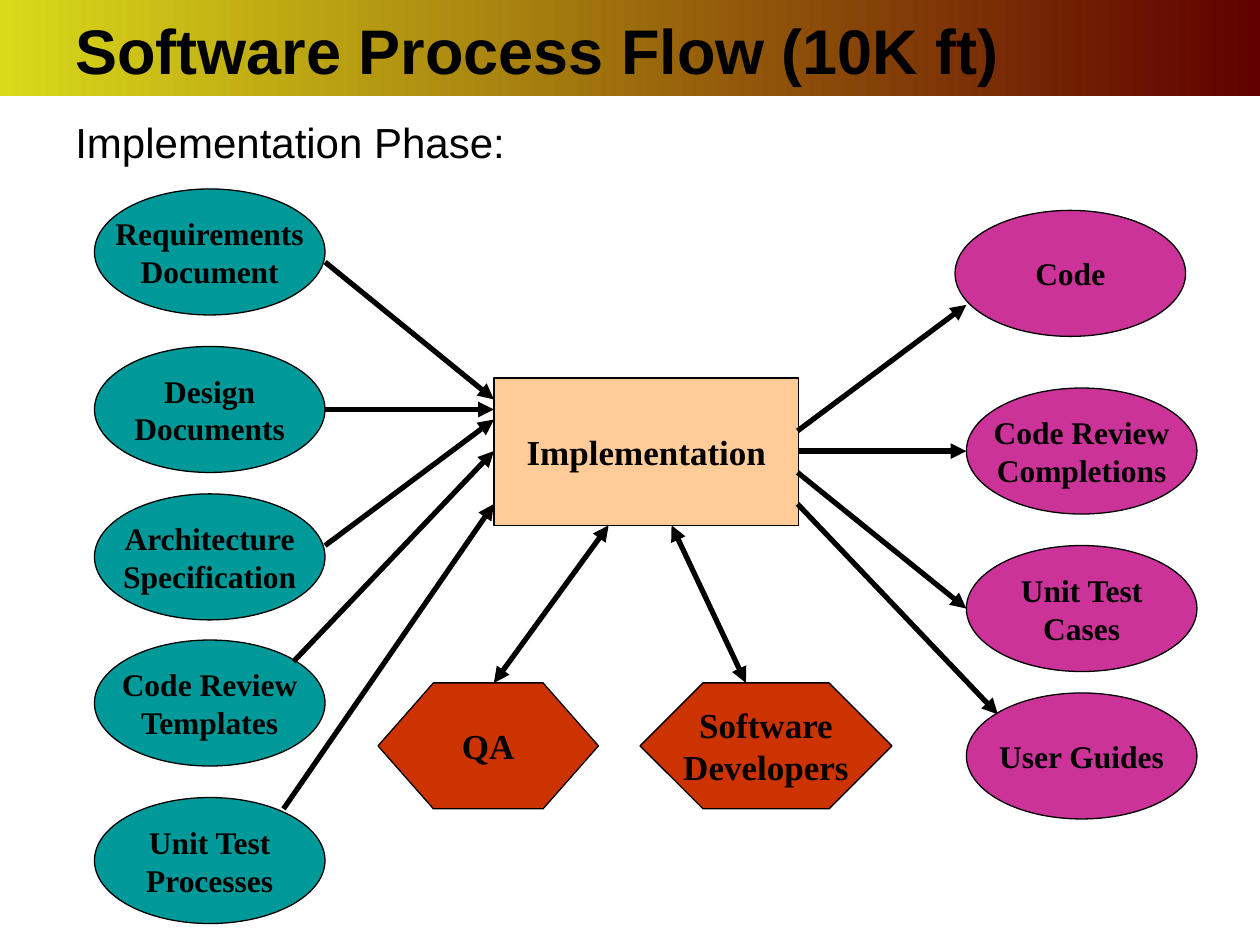
import pptx
import pptx.dml.color
import pptx.enum.dml
import pptx.enum.shapes
import pptx.enum.text
import pptx.oxml
import pptx.oxml.ns
import pptx.util

Inches = pptx.util.Inches
Pt = pptx.util.Pt
RGBColor = pptx.dml.color.RGBColor
Shape = pptx.enum.shapes.MSO_SHAPE
Align = pptx.enum.text.PP_ALIGN
Anchor = pptx.enum.text.MSO_ANCHOR

BLACK = RGBColor(0x00, 0x00, 0x00)
YELLOW = RGBColor(0xD9, 0xD9, 0x19)
MAROON = RGBColor(0x60, 0x00, 0x00)
PEACH = RGBColor(0xFF, 0xCC, 0x99)
TEAL = RGBColor(0x00, 0x99, 0x99)
MAGENTA = RGBColor(0xCC, 0x33, 0x99)
RUST = RGBColor(0xCC, 0x33, 0x00)

TITLE_FONT = {"name": "Arial", "size": Pt(36), "bold": True}
SUBTITLE_FONT = {"name": "Arial", "size": Pt(24), "bold": False}
LARGE_FONT = {"name": "Times New Roman", "size": Pt(20), "bold": True}
NODE_FONT = {"name": "Times New Roman", "size": Pt(18), "bold": True}

NODE_WIDTH, NODE_HEIGHT = 1.83, 1

INPUTS = [
    (0, 0, "Requirements\nDocument"),
    (0, 1.25, "Design\nDocuments"),
    (0, 2.42, "Architecture\nSpecification"),
    (0, 3.58, "Code Review\nTemplates"),
    (0, 4.83, "Unit Test\nProcesses"),
]
INPUT_ARROWS = [
    (1.83, 0.58, 3.17, 1.67),
    (1.83, 1.75, 3.17, 1.75),
    (1.83, 2.83, 3.17, 1.83),
    (1.58, 3.75, 3.17, 2.08),
    (1.5, 4.92, 3.17, 2.5),
]
OUTPUTS = [
    (0, 0, "Code"),
    (0.09, 1.41, "Code Review\nCompletions"),
    (0.09, 2.66, "Unit Test\nCases"),
    (0.09, 3.83, "User Guides"),
]
OUTPUT_ARROWS = [
    (-1.25, 1.75, 0.09, 0.75),
    (-1.25, 1.91, 0.09, 1.91),
    (-1.25, 2.08, 0.09, 3.16),
    (-1.25, 2.33, 0.34, 4),
]
ROLES = [(0, 1.75, 0.44, "QA"), (2.08, 2, 0.5, "Software\nDevelopers")]
ROLE_ARROWS = [(0.92, 0, 1.83, -1.25), (2.92, 0, 2.33, -1.25)]


def apply_format(target, values):
    for name, value in values.items():
        setattr(target, name, value)


def write_text(shape, text, font, frame_format, paragraph_format):
    apply_format(shape.text_frame, frame_format)
    shape.text_frame.text = text
    for paragraph in shape.text_frame.paragraphs:
        apply_format(paragraph, paragraph_format)
        apply_format(paragraph.font, font)
        paragraph.font.color.rgb = BLACK


def add_node(slide, kind, left, top, width, height, text, fill, font):
    shape = slide.shapes.add_shape(
        kind, Inches(left), Inches(top), Inches(width), Inches(height))
    shape.shadow.inherit = False
    shape.fill.solid()
    shape.fill.fore_color.rgb = fill
    shape.line.color.rgb = BLACK
    shape.line.width = Pt(0.75)
    write_text(shape, text, font,
               {"word_wrap": False, "vertical_anchor": Anchor.MIDDLE},
               {"alignment": Align.CENTER})
    return shape


def add_arrows(slide, left, top, arrows, ends=("tailEnd",)):
    for start_x, start_y, end_x, end_y in arrows:
        connector = slide.shapes.add_connector(
            pptx.enum.shapes.MSO_CONNECTOR.STRAIGHT,
            Inches(left + start_x), Inches(top + start_y),
            Inches(left + end_x), Inches(top + end_y))
        connector.line.color.rgb = BLACK
        connector.line.width = Pt(3)
        line = connector.line._get_or_add_ln()
        for end in ends:
            pptx.oxml.ns.qn("a:" + end)
            arrowhead = pptx.oxml.parse_xml(
                f'<a:{end} {pptx.oxml.ns.nsdecls("a")} type="triangle"/>')
            line.append(arrowhead)
        connector._element.spPr.append(pptx.oxml.parse_xml(
            f'<a:effectLst {pptx.oxml.ns.nsdecls("a")}/>'))


def add_header(slide, left, top, width, height):
    band = slide.shapes.add_shape(
        Shape.RECTANGLE, Inches(left), Inches(top), Inches(width), Inches(height))
    band.shadow.inherit = False
    band.line.fill.background()
    band.fill.gradient()
    band.fill.gradient_angle = 0
    for stop, position, color in zip(band.fill.gradient_stops, (0, 1), (YELLOW, MAROON)):
        stop.position = position
        stop.color.rgb = color
    title = slide.shapes.add_textbox(
        Inches(left + 0.5), Inches(top), Inches(width - 1), Inches(height + 0.02))
    write_text(title, "Software Process Flow (10K ft)", TITLE_FONT,
               {"word_wrap": True, "vertical_anchor": Anchor.MIDDLE}, {})


def add_subtitle(slide, left, top, width, height):
    subtitle = slide.shapes.add_textbox(
        Inches(left), Inches(top), Inches(width), Inches(height))
    write_text(subtitle, "Implementation Phase:", SUBTITLE_FONT,
               {"word_wrap": True}, {"line_spacing": 0.9, "space_before": Pt(6)})


def add_documents(slide, left, top, documents, arrows, fill):
    for offset_x, offset_y, text in documents:
        add_node(slide, Shape.OVAL, left + offset_x, top + offset_y,
                 NODE_WIDTH, NODE_HEIGHT, text, fill, NODE_FONT)
    add_arrows(slide, left, top, arrows)


def add_roles(slide, left, top):
    for offset_x, width, slant, text in ROLES:
        hexagon = add_node(slide, Shape.HEXAGON, left + offset_x, top,
                           width, NODE_HEIGHT, text, RUST, LARGE_FONT)
        hexagon.adjustments[0] = slant
    add_arrows(slide, left, top, ROLE_ARROWS, ("headEnd", "tailEnd"))


def main():
    presentation = pptx.Presentation()
    presentation.slide_width = Inches(10)
    presentation.slide_height = Inches(7.5)
    slide = presentation.slides.add_slide(presentation.slide_layouts[6])
    add_header(slide, 0, 0, 10, 0.76)
    add_subtitle(slide, 0.5, 0.92, 9, 0.69)
    add_node(slide, Shape.RECTANGLE, 3.92, 3, 2.42, 1.17,
             "Implementation", PEACH, LARGE_FONT)
    add_documents(slide, 0.75, 1.5, INPUTS, INPUT_ARROWS, TEAL)
    add_documents(slide, 7.58, 1.67, OUTPUTS, OUTPUT_ARROWS, MAGENTA)
    add_roles(slide, 3, 5.42)
    presentation.save("out.pptx")


if __name__ == "__main__":
    main()
